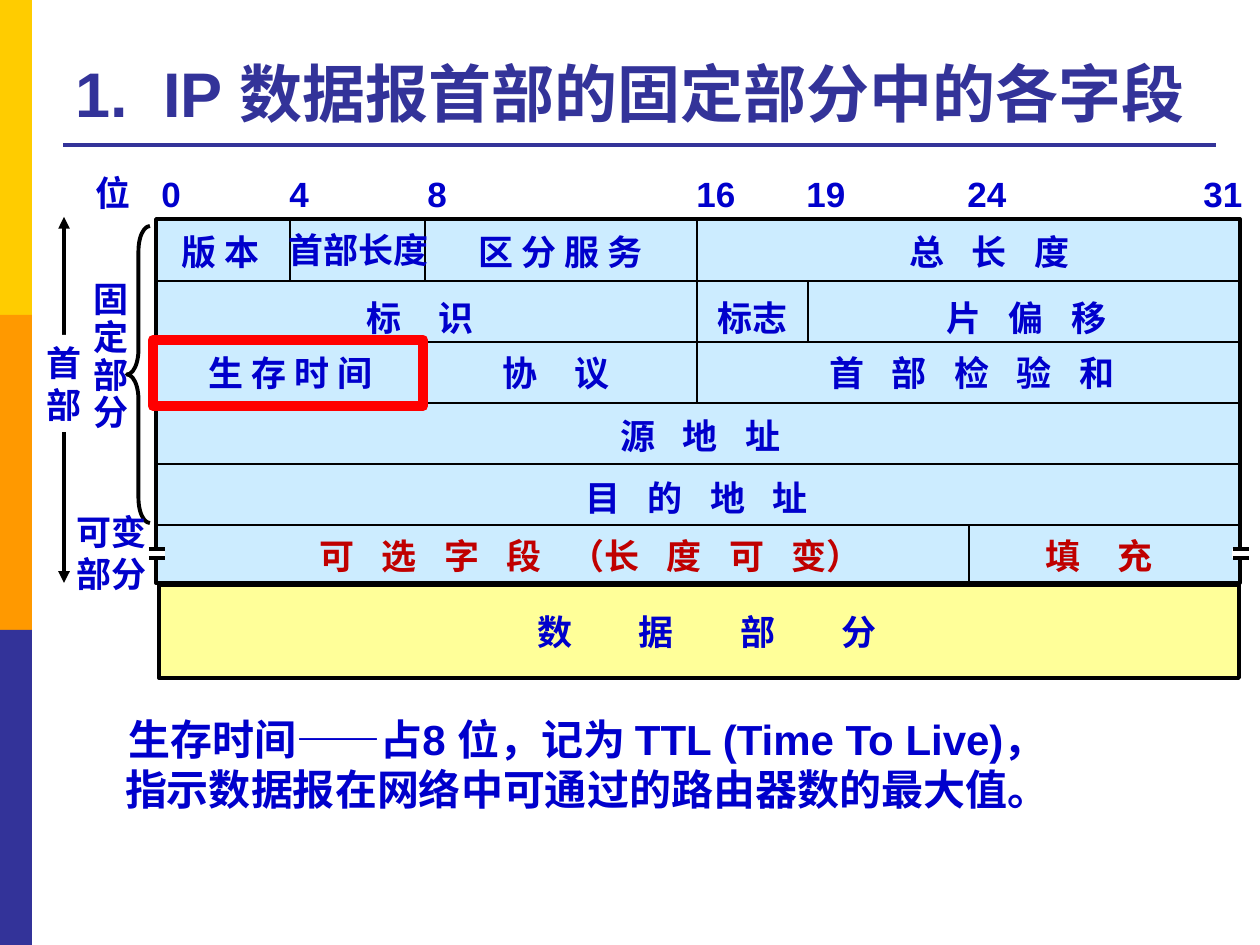
from lxml import etree
from pptx import Presentation
from pptx.dml.color import RGBColor
from pptx.enum.shapes import MSO_CONNECTOR, MSO_SHAPE
from pptx.enum.text import MSO_ANCHOR, MSO_AUTO_SIZE, PP_ALIGN
from pptx.oxml.ns import qn
from pptx.util import Pt

PX = 914400 / 126
RECT, BRACE = MSO_SHAPE.RECTANGLE, MSO_SHAPE.LEFT_BRACE
STRAIGHT = MSO_CONNECTOR.STRAIGHT
LEFT, CENTER = PP_ALIGN.LEFT, PP_ALIGN.CENTER
TOP, BOTTOM = MSO_ANCHOR.TOP, MSO_ANCHOR.BOTTOM
NO_FIT = MSO_AUTO_SIZE.NONE
BLACK, WHITE, NAVY, BLUE, RED = "000000", "FFFFFF", "333399", "0000CC", "C00000"
hex_color = RGBColor.from_string


def add_run(paragraph, text, size, color, spacing=0):
    run = paragraph.add_run()
    run.text = text
    run.font.name = "Arial"
    run.font.size = Pt(size)
    run.font.bold = True
    run.font.color.rgb = hex_color(color)
    if spacing:
        run._r.get_or_add_rPr().set("spc", str(round(spacing * 100)))


def add_block(kind, bounds, fill=None, line=None, width=0):
    block = slide.shapes.add_shape(kind, *[round(v * PX) for v in bounds])
    block.shadow.inherit = False
    if fill:
        block.fill.solid()
        block.fill.fore_color.rgb = hex_color(fill)
    else:
        block.fill.background()
    if line:
        block.line.color.rgb = hex_color(line)
        block.line.width = Pt(width)
    else:
        block.line.fill.background()
    return block


prs = Presentation()
prs.slide_width = round(1260 * PX)
prs.slide_height = round(945 * PX)
slide = prs.slides.add_slide(prs.slide_layouts[5])

for i, color in enumerate(["FFCC00", "FF9900", NAVY]):
    add_block(RECT, (0, 315 * i, 32, 315), color)

title = slide.shapes.title
title.left, title.top, title.width, title.height = [
    round(v * PX) for v in (63, 26, 1153, 110)]
title.text_frame.auto_size = NO_FIT
title.text_frame.vertical_anchor = BOTTOM
heading = title.text_frame.paragraphs[0]
heading.alignment = LEFT
add_run(heading, "1.", 36, NAVY)
add_run(heading, " ", 36, NAVY, 10)
add_run(heading, "IP 数据报首部的固定部分中的各字段", 36, NAVY)

add_block(RECT, (156, 219, 1084, 364), "CCECFF", BLACK, 2)
add_block(RECT, (159, 585, 1080, 93), "FFFF99", BLACK, 2.25)
brace = add_block(BRACE, (127, 226, 23, 297), None, BLACK, 2.25)
brace.adjustments[0] = 1.08
brace.adjustments[1] = 0.5

lines = [(63, 145, 1216, 145, NAVY, 2.25)]
lines += [(156, 281 + 61 * i, 1241, 281 + 61 * i, BLACK, 1) for i in range(5)]
lines += [(x, top, x, bottom, BLACK, 1) for x, top, bottom in [
    (290, 220, 281), (425, 220, 281), (425, 342, 403),
    (697, 220, 403), (969, 525, 585), (808, 281, 342)]]
for x in (148, 1232):
    add_block(RECT, (x, 549, 17, 9), WHITE)
    lines += [(x + 1, y, x + 17, y, BLACK, 2) for y in (549, 558)]
lines.append((64, 217, 64, 583, BLACK, 2.25))

for x1, y1, x2, y2, color, width in lines:
    connector = slide.shapes.add_connector(
        STRAIGHT, *[round(v * PX) for v in (x1, y1, x2, y2)])
    connector.line.color.rgb = hex_color(color)
    connector.line.width = Pt(width)
    etree.SubElement(connector._element.spPr, qn("a:effectLst"))
header_extent = connector.line._get_or_add_ln()
for end in ("a:headEnd", "a:tailEnd"):
    etree.SubElement(header_extent, qn(end), type="triangle")

labels = [(text, x, 166, 64 if len(text) > 1 else 45, 54, BLUE, 1, 1)
          for text, x in [("0", 149), ("4", 277), ("8", 415), ("16", 684),
                          ("19", 794), ("24", 955), ("31", 1191)]]
labels += [(text, x, y, w, 54, color, gap, 1) for text, x, y, w, color, gap in [
    ("位", 83, 165, 60, BLUE, 1),
    ("版 本", 169, 224, 106, BLUE, 1),
    ("首部长度", 276, 222, 168, BLUE, 1),
    ("区 分 服 务", 466, 224, 197, BLUE, 1),
    ("总 长 度", 897, 224, 190, BLUE, 3),
    ("标 识", 354, 290, 135, BLUE, 4),
    ("标志", 705, 290, 96, BLUE, 1),
    ("片 偏 移", 934, 290, 190, BLUE, 3),
    ("生 存 时 间", 196, 345, 197, BLUE, 1),
    ("协 议", 490, 345, 135, BLUE, 4),
    ("首 部 检 验 和", 817, 345, 320, BLUE, 3),
    ("源 地 址", 608, 408, 190, BLUE, 3),
    ("目 的 地 址", 573, 470, 254, BLUE, 3),
    ("可 选 字 段 （长 度 可 变）", 307, 528, 584, RED, 3),
    ("填 充", 1033, 528, 135, RED, 4),
    ("数 据 部 分", 525, 604, 401, BLUE, 7)]]
labels += [
    ("固\n定\n部\n分", 81, 276, 60, 165, BLUE, 1, 0.9),
    ("可变\n部分", 64, 504, 96, 97, BLUE, 1, 1),
    ("首\n部", 34, 335, 60, 97, BLUE, 1, 1)]

for text, x, y, w, h, color, gap, line_spacing in labels:
    label = slide.shapes.add_textbox(*[round(v * PX) for v in (x, y, w, h)])
    frame = label.text_frame
    frame.word_wrap = False
    for i, row in enumerate(text.split("\n")):
        paragraph = frame.add_paragraph() if i else frame.paragraphs[0]
        paragraph.line_spacing = line_spacing
        for j, word in enumerate(row.split(" ")):
            if j:
                add_run(paragraph, " ", 20, color, (gap - 1) * 5.56)
            add_run(paragraph, word, 20, color)
label.fill.solid()
label.fill.fore_color.rgb = hex_color(WHITE)

add_block(RECT, (153, 340, 270, 66), None, "FF0000", 6)
explanation = slide.shapes.add_textbox(
    *[round(v * PX) for v in (105, 707, 964, 115)]).text_frame
explanation.word_wrap = True
explanation.vertical_anchor = TOP
for i, sentence in enumerate(["生存时间——占8 位，记为 TTL (Time To Live)，",
                              "指示数据报在网络中可通过的路由器数的最大值。"]):
    paragraph = explanation.add_paragraph() if i else explanation.paragraphs[0]
    paragraph.alignment = CENTER
    add_run(paragraph, sentence, 24, BLUE)

prs.save("out.pptx")
